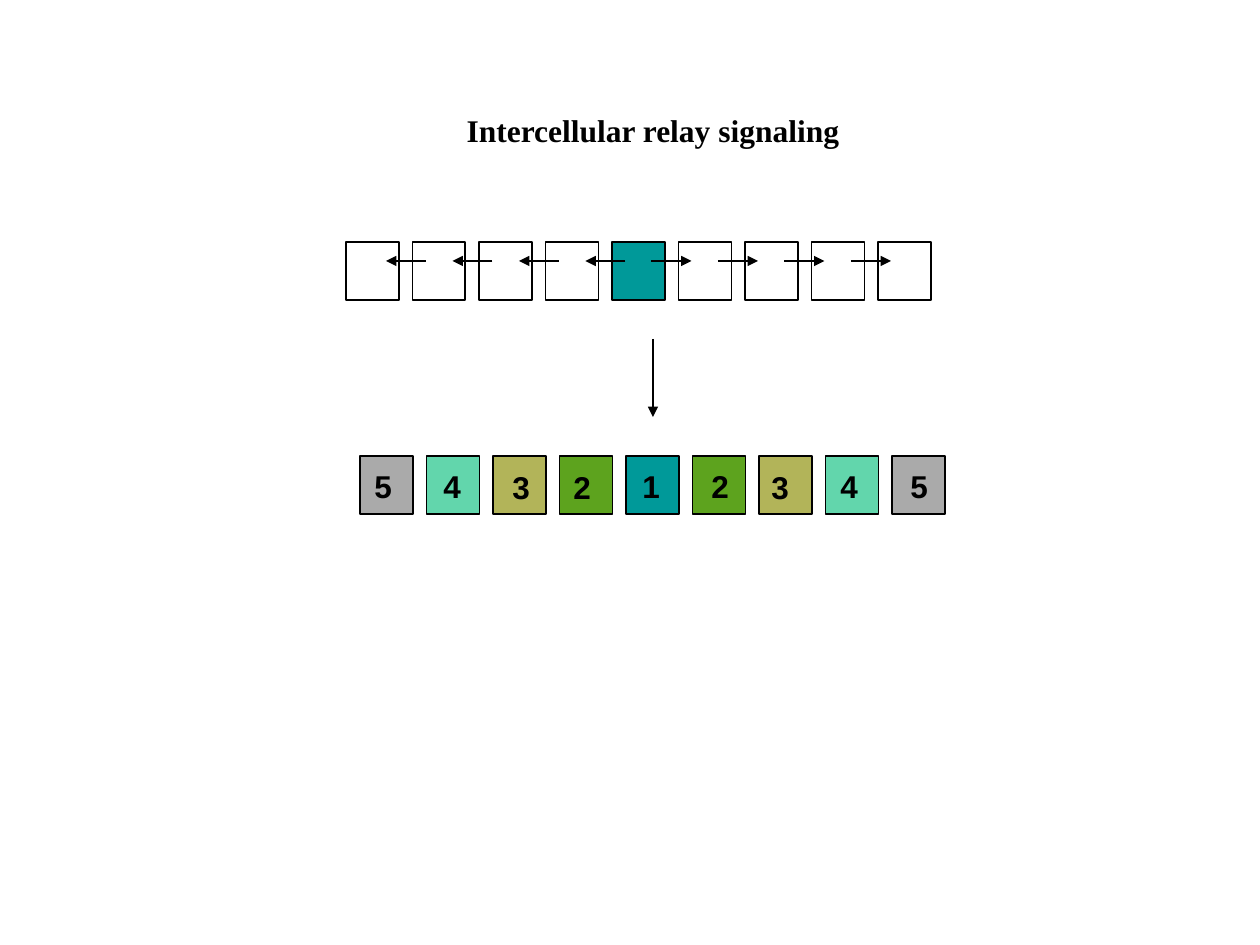
import pptx
import pptx.util
import pptx.dml.color
import pptx.enum.shapes
import pptx.enum.text
import pptx.oxml.ns
import lxml.etree

PX = 914400 / 126
SLIDE = (1260, 945)
TITLE = ("Intercellular relay signaling", (454, 105, 399, 50))
BLACK, SOURCE = "000000", "009999"

CELL = (53, 58)
ROW_SPAN = 532
RELAY_ROW = (346, 242)
RESULT_ROW = (360, 456)
RELAY_FILLS = [None] * 4 + [SOURCE] + [None] * 4
LEVEL_FILLS = {1: SOURCE, 2: "5DA31E", 3: "B2B459", 4: "62D6AC", 5: "AAAAAA"}
LABELS = [
    (5, 362, 461), (4, 431, 461), (3, 500, 462),
    (2, 561, 462), (1, 630, 461), (2, 699, 461),
    (3, 759, 462), (4, 828, 461), (5, 898, 461),
]
LABEL_SIZE = (43, 50)
SIGNAL_Y, SIGNAL_START, SIGNAL_LENGTH = 261, 13, 40
STEP_ARROW = (653, 339, 653, 417)


def emu(*lengths):
    return [round(length * PX) for length in lengths]


def color(value):
    return pptx.dml.color.RGBColor.from_string(value)


def write(box, text, font_name):
    frame = box.text_frame
    frame.text = text
    frame_format = {
        "word_wrap": True,
        "auto_size": pptx.enum.text.MSO_AUTO_SIZE.NONE,
        "vertical_anchor": pptx.enum.text.MSO_ANCHOR.TOP,
    }
    for name, value in frame_format.items():
        setattr(frame, name, value)
    para = frame.paragraphs[0]
    para.alignment = pptx.enum.text.PP_ALIGN.LEFT
    font = para.runs[0].font
    for name, value in {"name": font_name, "size": pptx.util.Pt(18), "bold": True}.items():
        setattr(font, name, value)
    font.color.rgb = color(BLACK)


def cell_lefts(row_left, count):
    return [row_left + index * ROW_SPAN / (count - 1) for index in range(count)]


def add_row(page, origin, fills):
    left, top = origin
    for cell_left, fill in zip(cell_lefts(left, len(fills)), fills):
        cell = page.shapes.add_shape(
            pptx.enum.shapes.MSO_SHAPE.RECTANGLE, *emu(cell_left, top, *CELL))
        cell.shadow.inherit = False
        cell.line.color.rgb = color(BLACK)
        cell.line.width = pptx.util.Pt(1)
        if fill:
            cell.fill.solid()
            cell.fill.fore_color.rgb = color(fill)
        else:
            cell.fill.background()


def add_arrow(page, ends, width):
    arrow = page.shapes.add_connector(
        pptx.enum.shapes.MSO_CONNECTOR.STRAIGHT, *emu(*ends))
    arrow.line.color.rgb = color(BLACK)
    arrow.line.width = pptx.util.Pt(width)
    qn = pptx.oxml.ns.qn
    lxml.etree.SubElement(arrow.line._get_or_add_ln(), qn("a:tailEnd"), type="triangle")
    lxml.etree.SubElement(arrow._element.spPr, qn("a:effectLst"))


def add_signals(page):
    lefts = cell_lefts(RELAY_ROW[0], len(RELAY_FILLS))
    middle = RELAY_FILLS.index(SOURCE)
    for index, left in enumerate(lefts):
        center = left + CELL[0] / 2
        directions = []
        if 0 < index <= middle:
            directions.append(-1)
        if middle <= index < len(lefts) - 1:
            directions.append(1)
        for direction in directions:
            start = center + direction * SIGNAL_START
            end = start + direction * SIGNAL_LENGTH
            add_arrow(page, (start, SIGNAL_Y, end, SIGNAL_Y), 1)


def main():
    deck = pptx.Presentation()
    deck.slide_width, deck.slide_height = emu(*SLIDE)
    page = deck.slides.add_slide(deck.slide_layouts[5])
    title = page.shapes.title
    text, place = TITLE
    for name, value in zip(("left", "top", "width", "height"), emu(*place)):
        setattr(title, name, value)
    write(title, text, "Times New Roman")
    add_row(page, RELAY_ROW, RELAY_FILLS)
    add_signals(page)
    add_row(page, RESULT_ROW, [LEVEL_FILLS[level] for level, _, _ in LABELS])
    add_arrow(page, STEP_ARROW, 1.5)
    for level, left, top in LABELS:
        box = page.shapes.add_textbox(*emu(left, top, *LABEL_SIZE))
        write(box, str(level), "Arial")
    deck.save("out.pptx")


if __name__ == "__main__":
    main()
